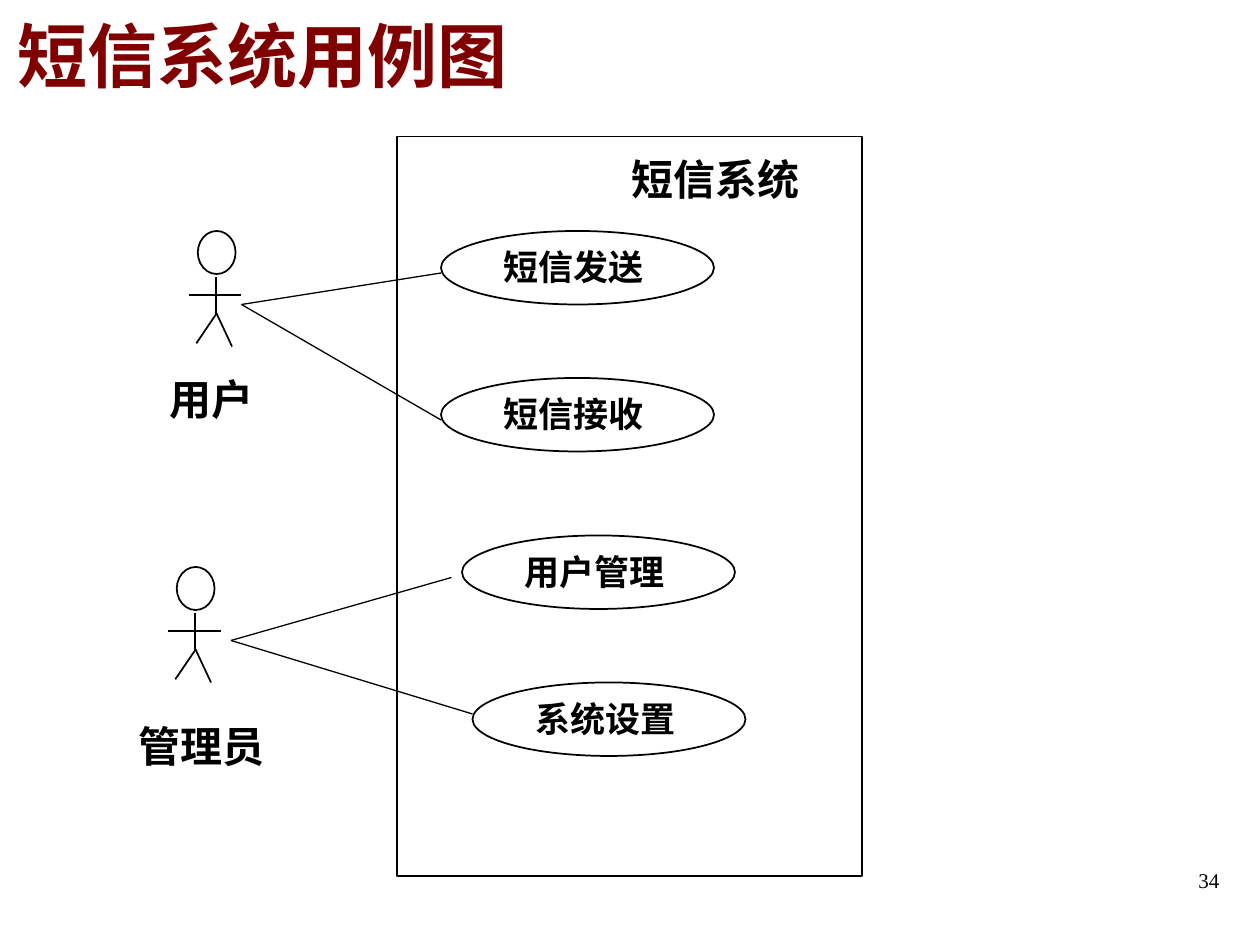
"""Build the use case diagram of the short message system."""
from dataclasses import dataclass

from lxml.etree import SubElement
from pptx import Presentation
from pptx.dml.color import RGBColor
from pptx.enum.shapes import MSO_CONNECTOR, MSO_SHAPE
from pptx.enum.text import MSO_ANCHOR, PP_ALIGN
from pptx.oxml.ns import qn
from pptx.util import Inches, Pt


@dataclass(frozen=True)
class Theme:
    """Colours, fonts, type sizes and line widths."""
    ink: RGBColor = RGBColor(0, 0, 0)
    heading: RGBColor = RGBColor(0x80, 0, 0)
    serif: str = "Times New Roman"
    sans: str = "Arial"
    title_size: int = 40
    label_size: int = 24
    case_size: int = 20
    number_size: int = 12
    outline: float = 1
    association: float = 0.75


THEME = Theme()
WIDTH, HEIGHT = Inches(10), Inches(7.5)
COLUMNS, ROWS = 120, 90
CASE_COLUMNS, CASE_ROWS = 26, 7


def column(count):
    """Return the length of a number of grid columns."""
    return round(WIDTH * count / COLUMNS)


def row(count):
    """Return the length of a number of grid rows."""
    return round(HEIGHT * count / ROWS)


def frame(left, top, width, height):
    """Return a grid rectangle as lengths."""
    return column(left), row(top), column(width), row(height)


def add_text(shapes, text, area, size=THEME.label_size, font=THEME.serif,
             color=THEME.ink, bold=True, align=PP_ALIGN.LEFT,
             anchor=MSO_ANCHOR.TOP, spacing=None):
    """Add one paragraph of text in a grid area."""
    text_frame = shapes.add_textbox(*frame(*area)).text_frame
    text_frame.word_wrap = True
    text_frame.vertical_anchor = anchor
    paragraph = text_frame.paragraphs[0]
    paragraph.text = text
    paragraph.alignment = align
    paragraph.line_spacing = spacing
    letters = paragraph.runs[0].font
    letters.name, letters.size, letters.bold = font, Pt(size), bold
    letters.color.rgb = color


def add_outline(shapes, kind, area):
    """Add an unfilled preset shape in a grid area."""
    outline = shapes.add_shape(kind, *frame(*area))
    outline.shadow.inherit = False
    outline.fill.background()
    outline.line.color.rgb = THEME.ink
    outline.line.width = Pt(THEME.outline)


def add_line(shapes, start, end, weight=THEME.outline):
    """Add a straight line between two grid points."""
    line = shapes.add_connector(MSO_CONNECTOR.STRAIGHT, column(start[0]), row(start[1]),
                                column(end[0]), row(end[1]))
    line.line.color.rgb = THEME.ink
    line.line.width = Pt(weight)
    SubElement(line._element.spPr, qn("a:effectLst"))


def add_actor(shapes, left, top):
    """Add a stick figure as one group."""
    figure = shapes.add_group_shape().shapes
    add_outline(figure, MSO_SHAPE.OVAL, (left + 0.84, top, 3.6, 4.1))
    limbs = (((0, 6.1), (5, 6.1)), ((2.6, 4.4), (2.6, 7.9)),
             ((2.6, 7.9), (0.7, 10.7)), ((2.6, 7.8), (4.1, 11)))
    for start, end in limbs:
        add_line(figure, (left + start[0], top + start[1]), (left + end[0], top + end[1]))


def add_use_case(shapes, name, left, top):
    """Add a named ellipse as one group."""
    case = shapes.add_group_shape().shapes
    add_outline(case, MSO_SHAPE.OVAL, (left, top, CASE_COLUMNS, CASE_ROWS))
    add_text(case, name, (left + 4.8, top + 1.25, 16.4, 4.8),
             size=THEME.case_size, font=THEME.sans, spacing=0.9)


def add_associations(shapes, actor, cases):
    """Join an actor's point to each of its use cases."""
    for case in cases:
        add_line(shapes, actor, case, THEME.association)


def main():
    """Build and save the slide."""
    presentation = Presentation()
    presentation.slide_width, presentation.slide_height = WIDTH, HEIGHT
    shapes = presentation.slides.add_slide(presentation.slide_layouts[6]).shapes

    add_text(shapes, "短信系统用例图", (0.5, -2.3, 102, 15), size=THEME.title_size,
             color=THEME.heading, anchor=MSO_ANCHOR.MIDDLE)
    add_text(shapes, "34", (89.3, 82, 28, 6.2), size=THEME.number_size,
             bold=False, align=PP_ALIGN.RIGHT)

    add_actor(shapes, 18, 22)
    add_text(shapes, "用户", (15, 35, 12, 6))
    add_actor(shapes, 16, 54)
    add_text(shapes, "管理员", (12, 68, 16, 6))

    add_outline(shapes, MSO_SHAPE.RECTANGLE, (37.8, 13, 44.3, 70.4))
    add_text(shapes, "短信系统", (59, 14, 22, 6))
    for name, left, top in (("短信发送", 42, 22), ("短信接收", 42, 36),
                            ("用户管理", 44, 51), ("系统设置", 45, 65)):
        add_use_case(shapes, name, left, top)

    add_associations(shapes, (23, 29), ((42, 26), (42, 40)))
    add_associations(shapes, (22, 61), ((43, 55), (45, 68)))
    presentation.save("out.pptx")


if __name__ == "__main__":
    main()
